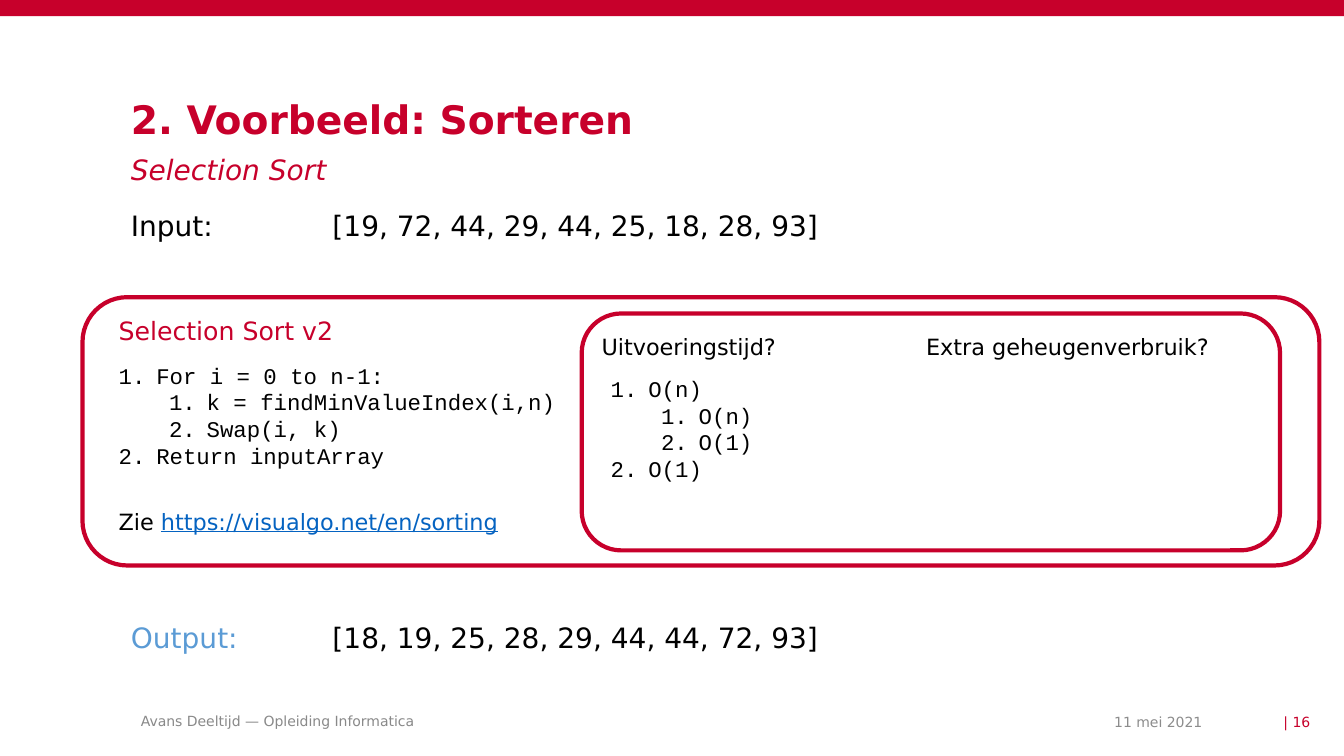
import pptx
import pptx.dml.color
import pptx.enum.shapes
import pptx.enum.text
import pptx.oxml.ns
import pptx.util
from lxml import etree

Cm = pptx.util.Cm
Pt = pptx.util.Pt
Shapes = pptx.enum.shapes.MSO_SHAPE
Align = pptx.enum.text.PP_ALIGN
Anchor = pptx.enum.text.MSO_ANCHOR

COLOURS = {"red": "C7002B", "black": "000000", "blue": "5B9BD5", "link": "0563C1",
           "grey": "8C8C8C", "footer": "898989", "white": "FFFFFF"}
SANS, MONO = "DejaVu Sans", "Courier New"
LEFT = 3.3
PANEL_LEFT = 2.74

ALGORITHM = [(0, "For i = 0 to n-1:"), (1, "k = findMinValueIndex(i,n)"),
             (1, "Swap(i, k)"), (0, "Return inputArray")]
RUNNING_TIMES = [(0, "O(n)"), (1, "O(n)"), (1, "O(1)"), (0, "O(1)")]


def colour(name):
    return pptx.dml.color.RGBColor.from_string(COLOURS[name])


def add_panel(page, kind, place, fill, line=None):
    panel = page.shapes.add_shape(kind, *map(Cm, place))
    panel.shadow.inherit = False
    panel.fill.solid()
    panel.fill.fore_color.rgb = colour(fill)
    if line:
        panel.line.color.rgb = colour(line)
        panel.line.width = Pt(3)
    else:
        panel.line.fill.background()


def add_box(page, place, inset=True, wrap=True, anchor=Anchor.TOP):
    box = page.shapes.add_textbox(*map(Cm, place))
    frame = box.text_frame
    frame.word_wrap = wrap
    frame.vertical_anchor = anchor
    if not inset:
        frame.margin_left = frame.margin_right = 0
        frame.margin_top = frame.margin_bottom = 0
    return frame


def add_span(para, text, size, tint="black", face=SANS, **style):
    span = para.add_run()
    span.text = text
    span.font.size = Pt(size)
    span.font.name = face
    span.font.color.rgb = colour(tint)
    for name, value in style.items():
        setattr(span.font, name, value)


def add_label(page, place, text, size, tint="black", align=Align.LEFT,
              inset=True, wrap=True, anchor=Anchor.TOP, **style):
    para = add_box(page, place, inset, wrap, anchor).paragraphs[0]
    para.alignment = align
    add_span(para, text, size, tint, **style)
    return para


def add_paragraph_child(para, tag, parent=None, **attributes):
    if parent is None:
        parent = para._p.get_or_add_pPr()
    child = etree.SubElement(parent, pptx.oxml.ns.qn(tag))
    for name, value in attributes.items():
        child.set(name, str(value))
    return child


def add_value_row(page, top, label, values, tint):
    """Add a label and, at a tab stop, its list of numbers."""
    para = add_box(page, (LEFT, top, 27, 0.9), inset=False).paragraphs[0]
    stops = add_paragraph_child(para, "a:tabLst")
    add_paragraph_child(para, "a:tab", stops, pos=Cm(5.08), algn="l")
    add_span(para, label, 20, tint)
    add_span(para, f"\t{values}", 20)


def add_numbered_code(page, place, steps):
    frame = add_box(page, place)
    for index, (level, text) in enumerate(steps):
        para = frame.add_paragraph() if index else frame.paragraphs[0]
        para.level = level
        properties = para._p.get_or_add_pPr()
        properties.set("marL", str(Cm(0.95 + 1.27 * level)))
        properties.set("indent", str(Cm(-0.95)))
        add_paragraph_child(para, "a:buFont", typeface="+mj-lt")
        add_paragraph_child(para, "a:buAutoNum", type="arabicPeriod")
        add_span(para, text, 16, face=MONO)


def add_footer(page):
    add_label(page, (22.68, 17.88, 7.62, 0.61), "11 mei 2021", 10, "grey",
              Align.RIGHT, inset=False, anchor=Anchor.MIDDLE)
    add_label(page, (30.76, 17.88, 2.26, 0.61), "| 16", 10, "red",
              Align.RIGHT, inset=False, anchor=Anchor.MIDDLE)
    add_label(page, (LEFT, 17.86, 17, 0.61), "Avans Deeltijd — Opleiding Informatica",
              10, "footer", anchor=Anchor.MIDDLE)


def main():
    deck = pptx.Presentation()
    deck.slide_width, deck.slide_height = Cm(33.87), Cm(19.05)
    page = deck.slides.add_slide(deck.slide_layouts[6])

    add_panel(page, Shapes.RECTANGLE, (0, 0, 33.87, 0.41), "red")
    title = add_label(page, (LEFT, 2.54, 21.5, 1), "2. Voorbeeld: Sorteren", 28, "red",
                      inset=False, bold=True)
    title.line_spacing = 0.9
    add_label(page, (LEFT, 3.84, 21.5, 1), "Selection Sort", 20, "red",
              inset=False, italic=True)
    add_value_row(page, 5.26, "Input:", "[19, 72, 44, 29, 44, 25, 18, 28, 93]", "black")
    add_value_row(page, 15.64, "Output:", "[18, 19, 25, 28, 29, 44, 44, 72, 93]", "blue")

    add_panel(page, Shapes.ROUNDED_RECTANGLE, (2.08, 7.49, 31.17, 6.76), "white", "red")
    add_label(page, (PANEL_LEFT, 7.82, 6.05, 1.02), "Selection Sort v2", 18, "red", wrap=False)
    add_numbered_code(page, (PANEL_LEFT, 8.99, 15.9, 3), ALGORITHM)
    see = add_label(page, (PANEL_LEFT, 12.67, 10.87, 0.94), "Zie ", 16, wrap=False)
    add_span(see, "https://visualgo.net/en/sorting", 16, "link", underline=True)

    add_panel(page, Shapes.ROUNDED_RECTANGLE, (14.66, 7.9, 17.6, 5.97), "white", "red")
    add_label(page, (14.91, 8.28, 5.59, 0.94), "Uitvoeringstijd?", 16)
    add_numbered_code(page, (15.14, 9.32, 6.71, 3), RUNNING_TIMES)
    add_label(page, (23.09, 8.28, 7.77, 0.94), "Extra geheugenverbruik?", 16)

    add_footer(page)
    deck.save("out.pptx")


if __name__ == "__main__":
    main()
